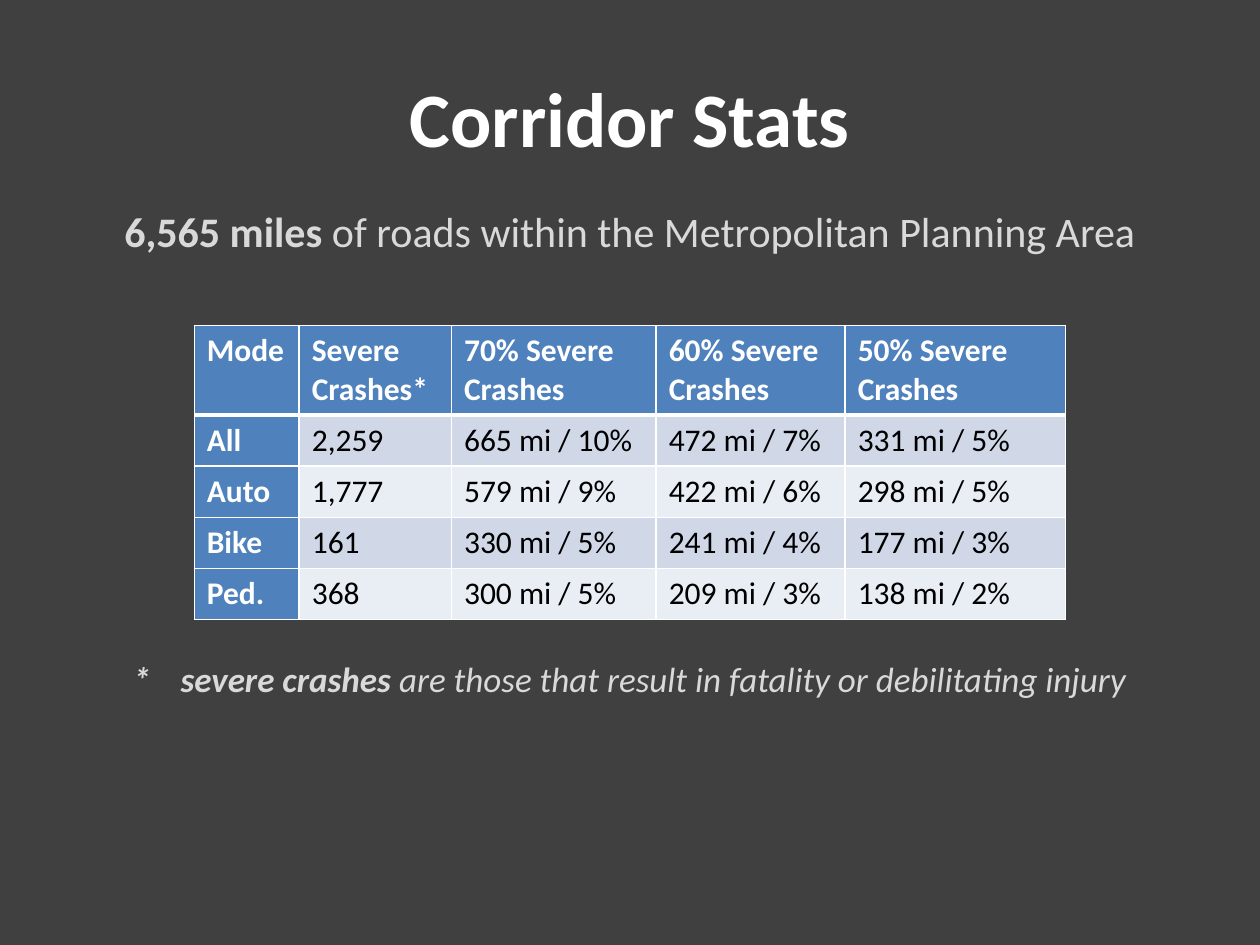
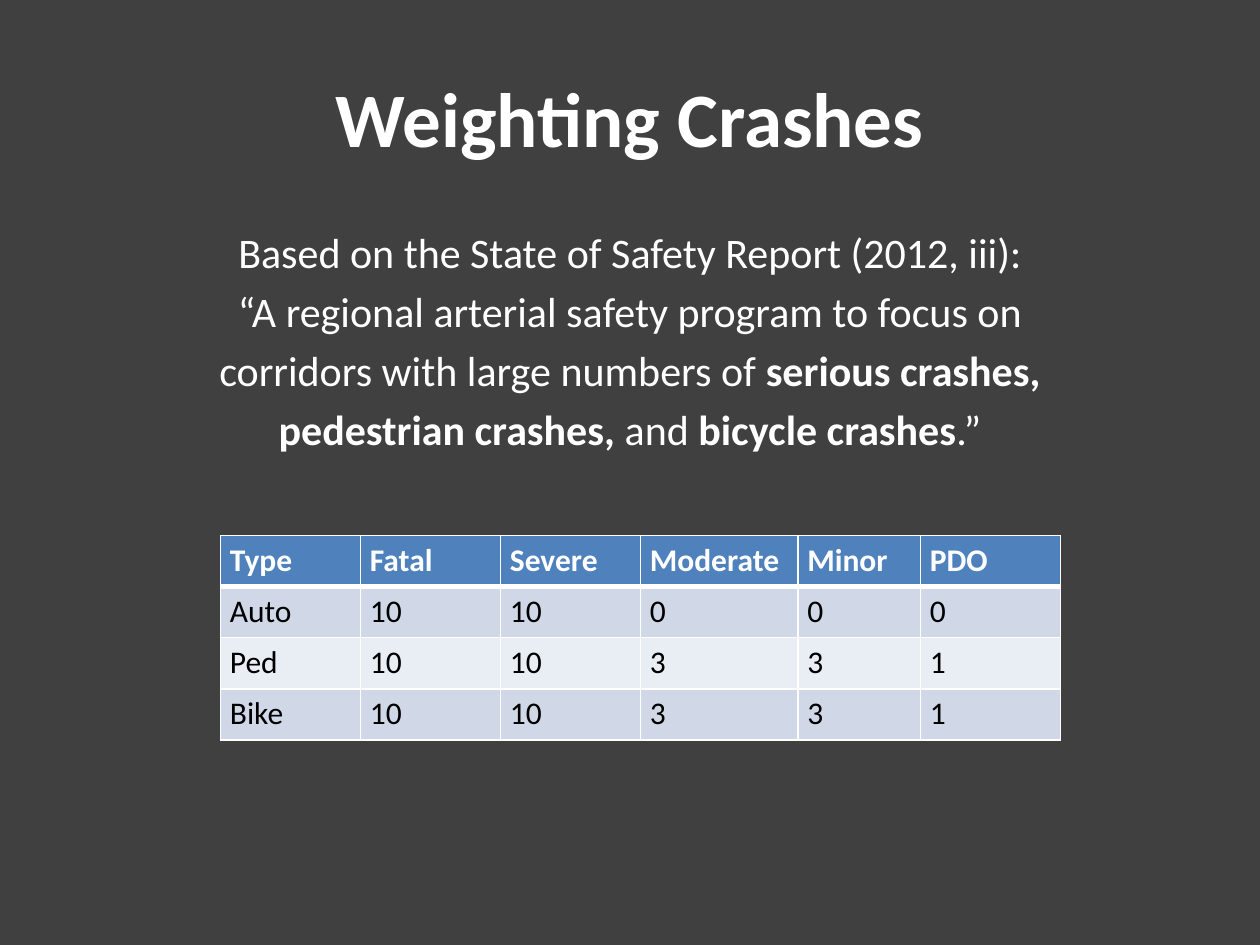
import pptx
import pptx.util
import pptx.dml.color
import pptx.enum.text
import pptx.oxml
import pptx.oxml.ns
from lxml import etree

Pt = pptx.util.Pt
FONT = "Calibri"
WHITE, LIGHT, BLACK = "FFFFFF", "D9D9D9", "000000"
BACKGROUND, ACCENT = "404040", "4F81BD"
BANDS = ("D0D8E8", "E9EDF4")
ROW_HEIGHT = 29.2
TITLE_BOX = (36, 21.6, 648, 90)


def rgb(value):
    return pptx.dml.color.RGBColor.from_string(value)


def place(shape, box):
    shape.left, shape.top, shape.width, shape.height = (Pt(v) for v in box)


def style(paragraph, size, color, bold=None, italic=None):
    font = paragraph.font
    font.name, font.size = FONT, Pt(size)
    font.bold, font.italic = bold, italic
    font.color.rgb = rgb(color)


def write_centered(frame, lines, size, color, italic=None, bullets_off=False):
    frame.word_wrap = True
    frame.auto_size = pptx.enum.text.MSO_AUTO_SIZE.NONE
    for index, line in enumerate(lines):
        paragraph = frame.add_paragraph() if index else frame.paragraphs[0]
        paragraph.alignment = pptx.enum.text.PP_ALIGN.CENTER
        if index == 0:
            paragraph.space_before = Pt(0)
        if bullets_off:
            etree.SubElement(paragraph._p.get_or_add_pPr(), pptx.oxml.ns.qn("a:buNone"))
        style(paragraph, size, color, italic=italic)
        for text, bold in line:
            run = paragraph.add_run()
            run.text = text
            run.font.bold = bold


def add_titled_slide(deck, title):
    slide = deck.slides.add_slide(deck.slide_layouts[1])
    heading = slide.shapes.title
    place(heading, TITLE_BOX)
    heading.text_frame.text = title
    style(heading.text_frame.paragraphs[0], 44, WHITE, bold=True)
    return slide


def fill_body(slide, box, lines, size, color, italic=None):
    body = slide.placeholders[1]
    place(body, box)
    write_centered(body.text_frame, lines, size, color, italic, bullets_off=True)


def add_statement(slide, box, line, size, color):
    statement = slide.shapes.add_textbox(*(Pt(v) for v in box))
    write_centered(statement.text_frame, [line], size, color)


def set_borders(cell, widths):
    properties = cell._tc.get_or_add_tcPr()
    for side, width in zip("LRTB", widths):
        properties.append(pptx.oxml.parse_xml(
            f'<a:ln{side} {pptx.oxml.ns.nsdecls("a")} w="{Pt(width)}">'
            f'<a:solidFill><a:srgbClr val="{WHITE}"/></a:solidFill></a:ln{side}>'))


def add_stats_table(slide, left, top, widths, rows, label_column=False,
                    side_inset=None, line_spacing=None):
    table = slide.shapes.add_table(
        len(rows), len(widths), Pt(left), Pt(top),
        Pt(sum(widths)), Pt(ROW_HEIGHT * len(rows))).table
    table.first_col = label_column
    for column, width in zip(table.columns, widths):
        column.width = Pt(width)
    for r, values in enumerate(rows):
        table.rows[r].height = Pt(ROW_HEIGHT)
        for c, value in enumerate(values):
            cell = table.cell(r, c)
            is_label = r == 0 or (label_column and c == 0)
            set_borders(cell, (1, 1, 3 if r == 1 else 1, 3 if r == 0 else 1))
            cell.fill.solid()
            cell.fill.fore_color.rgb = rgb(ACCENT if is_label else BANDS[(r - 1) % 2])
            if side_inset is not None:
                cell.margin_left = cell.margin_right = Pt(side_inset)
                cell.margin_top = cell.margin_bottom = Pt(0)
            cell.text = value
            paragraph = cell.text_frame.paragraphs[0]
            paragraph.line_spacing = line_spacing
            style(paragraph, 18, WHITE if is_label else BLACK, bold=is_label)


def build_corridor_stats(deck):
    slide = add_titled_slide(deck, "Corridor Stats")
    fill_body(slide, (36, 372, 648, 84), [[
        ("*\tsevere crashes", True),
        (" are those that result in fatality or debilitating injury", False),
    ]], 20, LIGHT, italic=True)
    add_stats_table(slide, 111, 186, (60, 87, 117, 108, 126), [
        ("Mode", "Severe Crashes*", "70% Severe Crashes",
         "60% Severe Crashes", "50% Severe Crashes"),
        ("All", "2,259", "665 mi / 10%", "472 mi / 7%", "331 mi / 5%"),
        ("Auto", "1,777", "579 mi / 9%", "422 mi / 6%", "298 mi / 5%"),
        ("Bike", "161", "330 mi / 5%", "241 mi / 4%", "177 mi / 3%"),
        ("Ped.", "368", "300 mi / 5%", "209 mi / 3%", "138 mi / 2%"),
    ], label_column=True)
    add_statement(slide, (36, 114, 648, 156), [
        ("6,565 miles ", True),
        ("of roads within the Metropolitan Planning Area", False),
    ], 24, LIGHT)


def build_weighting_crashes(deck):
    slide = add_titled_slide(deck, "Weighting Crashes")
    fill_body(slide, (36, 126, 648, 356.4), [
        [("Based on the State of Safety Report (2012, iii):", False)],
        [("“A regional arterial safety program to focus on", False)],
        [("corridors with large numbers of ", False), ("serious crashes,", True)],
        [("pedestrian crashes, ", True), ("and", False),
         (" bicycle crashes", True), (".”", False)],
    ], 24, WHITE)
    add_stats_table(slide, 126, 306, (80, 80, 80, 90, 70, 80), [
        ("Type", "Fatal", "Severe", "Moderate", "Minor", "PDO"),
        ("Auto", "10", "10", "0", "0", "0"),
        ("Ped", "10", "10", "3", "3", "1"),
        ("Bike", "10", "10", "3", "3", "1"),
    ], side_inset=5.4, line_spacing=1.15)


def main():
    deck = pptx.Presentation()
    deck.slide_width, deck.slide_height = Pt(720), Pt(540)
    backdrop = deck.slide_master.background.fill
    backdrop.solid()
    backdrop.fore_color.rgb = rgb(BACKGROUND)
    build_corridor_stats(deck)
    build_weighting_crashes(deck)
    deck.save("out.pptx")


if __name__ == "__main__":
    main()
